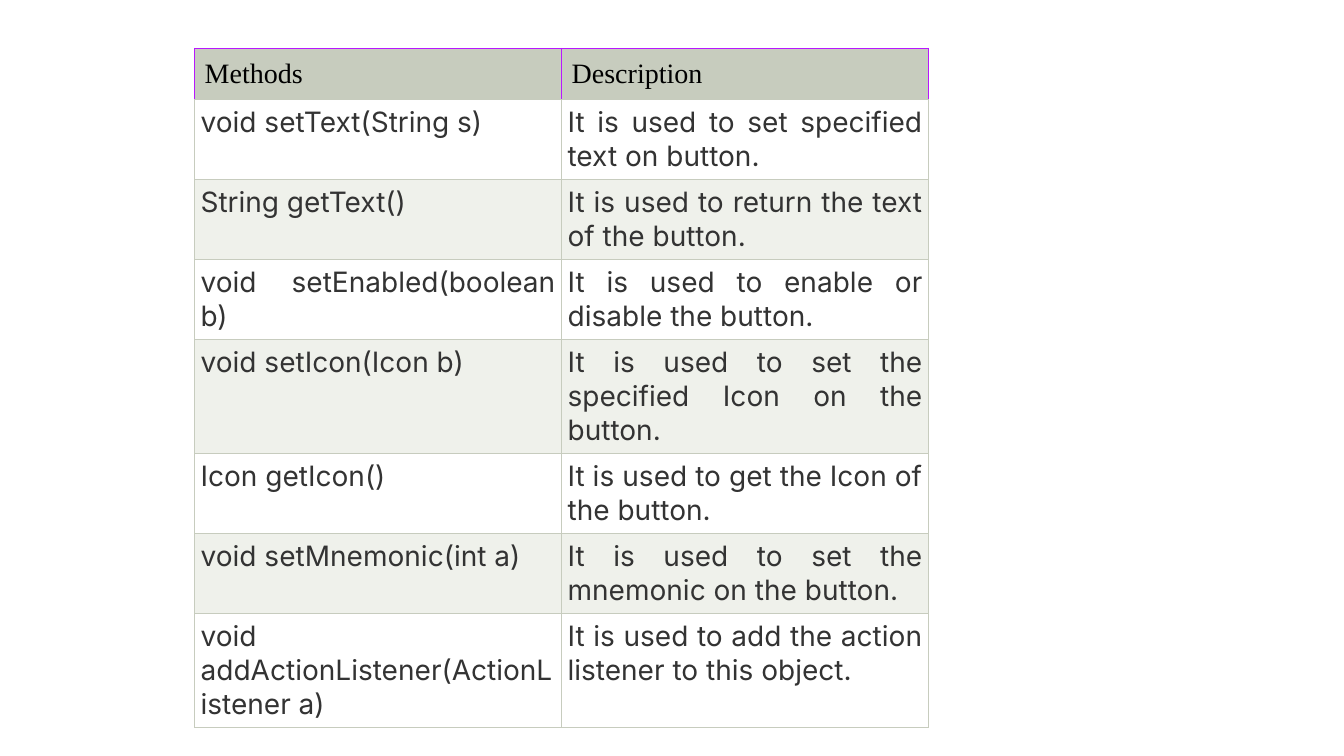
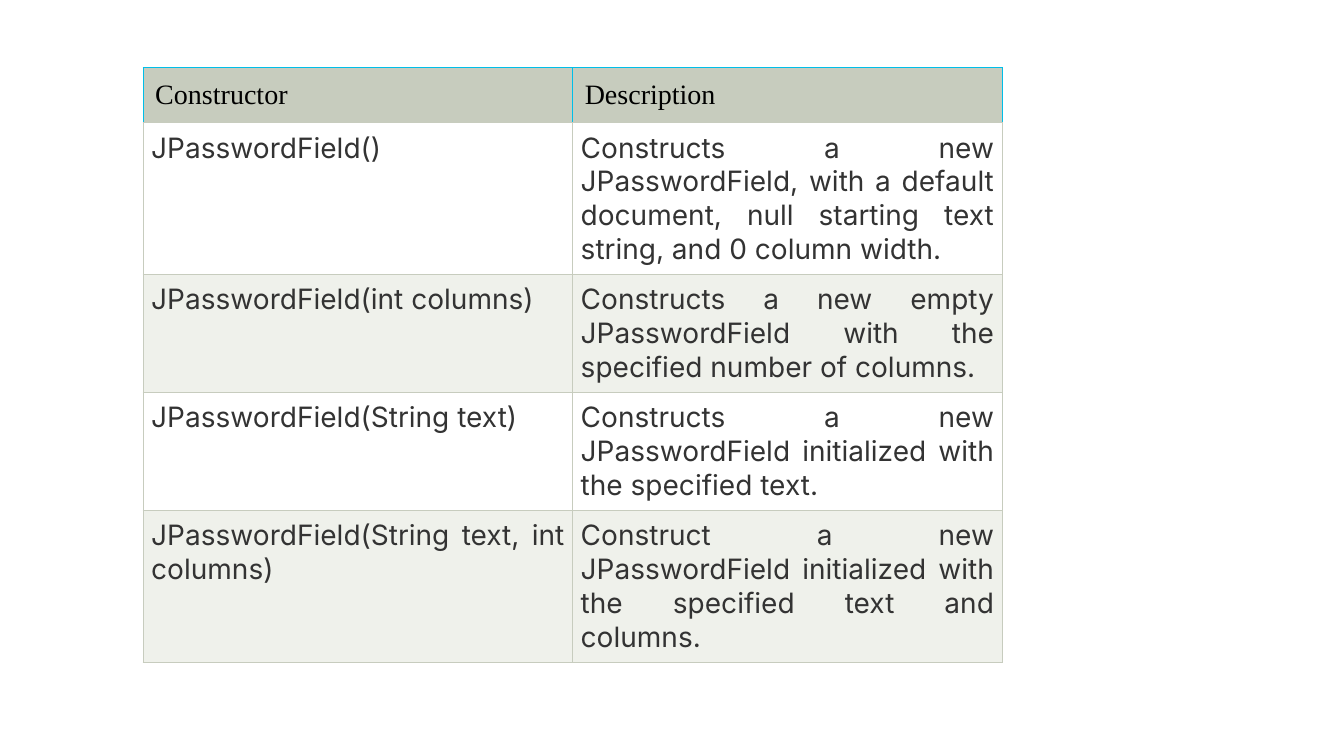
from dataclasses import dataclass

from lxml import etree
from pptx import Presentation
from pptx.dml.color import RGBColor
from pptx.enum.text import PP_ALIGN
from pptx.oxml.ns import qn
from pptx.slide import Slide
from pptx.table import _Cell
from pptx.util import Emu, Pt

LEFT, JUSTIFY = PP_ALIGN.LEFT, PP_ALIGN.JUSTIFY

EMU_PER_PX = 9144  # 100 px to the inch
SLIDE_WIDTH, SLIDE_HEIGHT = 1333, 750
BLANK_LAYOUT = 6

BLACK = RGBColor(0x00, 0x00, 0x00)
CHARCOAL = RGBColor(0x33, 0x33, 0x33)
WHITE = RGBColor(0xFF, 0xFF, 0xFF)
SAGE = RGBColor(0xC7, 0xCC, 0xBE)
PALE_SAGE = RGBColor(0xEF, 0xF1, 0xEB)
PURPLE = RGBColor(0xB8, 0x17, 0xFE)
CYAN = RGBColor(0x00, 0xBE, 0xE8)

HEADER_FONT = "Times New Roman"
BODY_FONT = "Inter"
TEXT_SIZE = 20
BORDER_WIDTH = Pt(0.75)
BORDER_SIDES = ("L", "R", "T", "B")


@dataclass(frozen=True)
class ReferenceTable:
    left: int
    top: int
    column_width: int
    height: int
    row_heights: tuple[int, ...]
    header_margin: int
    body_margin: int
    header_border: RGBColor
    rows: tuple[tuple[str, str], ...]


TABLES = (
    ReferenceTable(
        left=193, top=48, column_width=364, height=642,
        row_heights=(39, 59, 59, 59, 59, 59, 59, 82),
        header_margin=10, body_margin=6, header_border=PURPLE,
        rows=(
            ("Methods", "Description"),
            ("void setText(String s)", "It is used to set specified text on button."),
            ("String getText()", "It is used to return the text of the button."),
            ("void setEnabled(boolean b)", "It is used to enable or disable the button."),
            ("void setIcon(Icon b)", "It is used to set the specified Icon on the button."),
            ("Icon getIcon()", "It is used to get the Icon of the button."),
            ("void setMnemonic(int a)", "It is used to set the mnemonic on the button."),
            ("void addActionListener(ActionListener a)",
             "It is used to add the action listener to this object."),
        ),
    ),
    ReferenceTable(
        left=142, top=67, column_width=426, height=552,
        row_heights=(51, 127, 99, 99, 99),
        header_margin=12, body_margin=8, header_border=CYAN,
        rows=(
            ("Constructor", "Description"),
            ("JPasswordField()",
             "Constructs a new JPasswordField, with a default document, "
             "null starting text string, and 0 column width."),
            ("JPasswordField(int columns)",
             "Constructs a new empty JPasswordField with the specified number of columns."),
            ("JPasswordField(String text)",
             "Constructs a new JPasswordField initialized with the specified text."),
            ("JPasswordField(String text, int columns)",
             "Construct a new JPasswordField initialized with the specified text and columns."),
        ),
    ),
)


def px(length: int) -> Emu:
    return Emu(length * EMU_PER_PX)


def write_text(cell: _Cell, text: str, *, font: str, color: RGBColor,
               align: PP_ALIGN, margin: int) -> None:
    cell.margin_left = cell.margin_right = px(margin)
    cell.margin_top = cell.margin_bottom = px(margin)
    para = cell.text_frame.paragraphs[0]
    para.alignment = align
    span = para.add_run()
    span.text = text
    span.font.name = font
    span.font.size = Pt(TEXT_SIZE)
    span.font.color.rgb = color


def paint_cell(cell: _Cell, fill: RGBColor, border: RGBColor) -> None:
    """Fill the cell and line its sides; the bottom line is always sage."""
    properties = cell._tc.get_or_add_tcPr()
    for side in BORDER_SIDES:
        line = etree.SubElement(properties, qn(f"a:ln{side}"), w=str(BORDER_WIDTH))
        solid = etree.SubElement(line, qn("a:solidFill"))
        color = SAGE if side == "B" else border
        etree.SubElement(solid, qn("a:srgbClr"), val=str(color))
    cell.fill.solid()
    cell.fill.fore_color.rgb = fill


def add_reference_table(slide: Slide, content: ReferenceTable) -> None:
    column_count = len(content.rows[0])
    frame = slide.shapes.add_table(
        len(content.rows), column_count, px(content.left), px(content.top),
        px(content.column_width * column_count), px(content.height))
    table = frame.table
    table.first_row = table.horz_banding = False
    for column in table.columns:
        column.width = px(content.column_width)

    for row_index, texts in enumerate(content.rows):
        table.rows[row_index].height = px(content.row_heights[row_index])
        for column_index, text in enumerate(texts):
            cell = table.cell(row_index, column_index)
            if row_index == 0:
                paint_cell(cell, SAGE, content.header_border)
                write_text(cell, text, font=HEADER_FONT, color=BLACK,
                           align=LEFT, margin=content.header_margin)
            else:
                paint_cell(cell, WHITE if row_index % 2 else PALE_SAGE, SAGE)
                write_text(cell, text, font=BODY_FONT, color=CHARCOAL,
                           align=JUSTIFY, margin=content.body_margin)
    frame.height = px(content.height)


def main() -> None:
    deck = Presentation()
    deck.slide_width, deck.slide_height = px(SLIDE_WIDTH), px(SLIDE_HEIGHT)
    for content in TABLES:
        slide = deck.slides.add_slide(deck.slide_layouts[BLANK_LAYOUT])
        add_reference_table(slide, content)
    deck.save("out.pptx")


if __name__ == "__main__":
    main()
